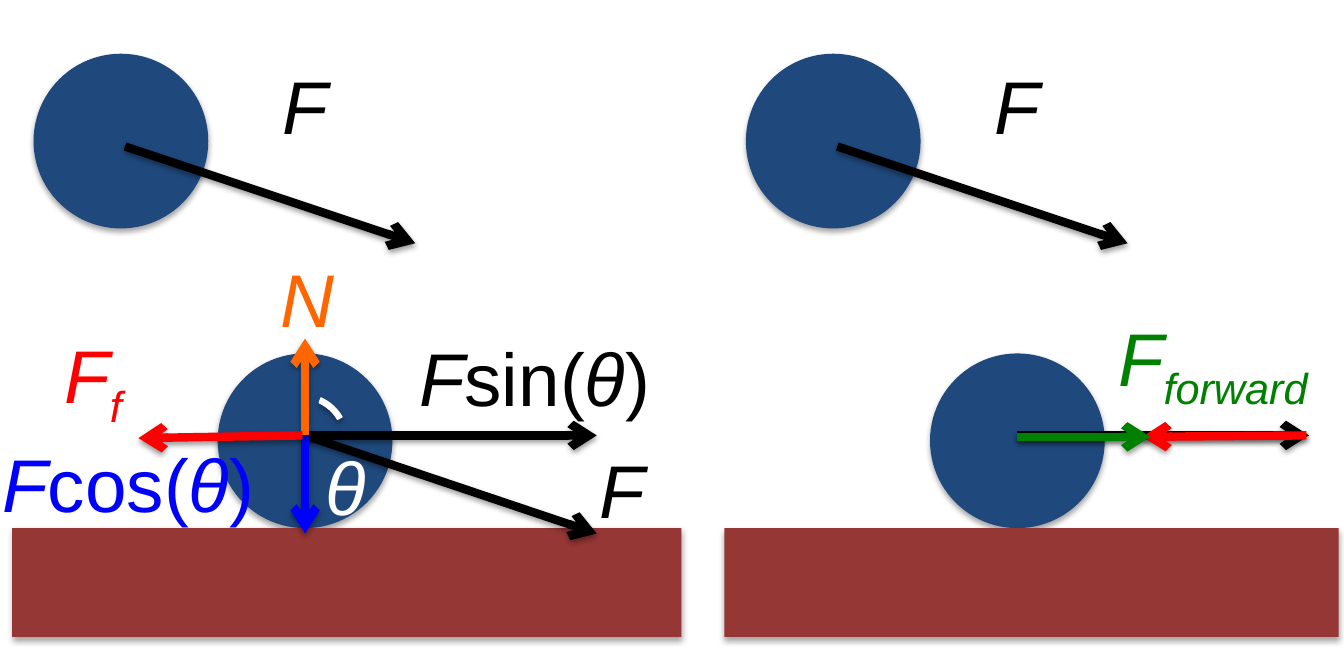
from lxml import etree
from pptx import Presentation, util as u
from pptx.dml.color import RGBColor
from pptx.enum import shapes, text
from pptx.oxml.ns import qn

COLORS = {
    "ball": "1F497D",
    "floor": "953735",
    "force": "000000",
    "normal": "FF6600",
    "friction": "FF0000",
    "pressing": "0000FF",
    "forward": "008000",
    "angle": "FFFFFF",
    "shadow": "000000",
}
BALL_SIZE = 1.3
PANEL_STEP = 5.3


def inches(value):
    return u.Cm(value * 2.54)


class ForceDiagram:
    font_name = "Arial"
    font_size = 40
    arrow_width = 4.5

    def __init__(self, width, height):
        self.presentation = Presentation()
        self.presentation.slide_width = inches(width)
        self.presentation.slide_height = inches(height)
        self.slide = self.presentation.slides.add_slide(
            self.presentation.slide_layouts[6])

    def color(self, name):
        return RGBColor.from_string(COLORS[name])

    def add_shadow(self, effects, distance, opacity):
        shadow = etree.SubElement(
            effects, qn("a:outerShdw"), blurRad=str(u.Pt(3.1)),
            dist=str(u.Pt(distance)), dir="5400000", rotWithShape="0")
        tint = etree.SubElement(shadow, qn("a:srgbClr"), val=COLORS["shadow"])
        etree.SubElement(tint, qn("a:alpha"), val=str(opacity * 1000))

    def solid(self, kind, left, top, width, height, color):
        shape = self.slide.shapes.add_shape(
            kind, *map(inches, (left, top, width, height)))
        shape.fill.solid()
        shape.fill.fore_color.rgb = self.color(color)
        shape.line.fill.background()
        shape.shadow.inherit = False
        effects = shape._element.spPr.find(qn("a:effectLst"))
        self.add_shadow(effects, 1.8, 35)
        return shape

    def ball(self, left, top):
        self.solid(shapes.MSO_SHAPE.OVAL, left, top, BALL_SIZE, BALL_SIZE, "ball")

    def floor(self, left, width):
        self.solid(shapes.MSO_SHAPE.RECTANGLE, left, 3.93, width, 0.81, "floor")

    def angle_arc(self, left, top, width, height):
        arc = self.solid(shapes.MSO_SHAPE.BLOCK_ARC, left, top, width, height, "angle")
        arc.rotation = 154.6
        # Angles are stored in 60000ths of a degree, adjustments in 100000ths
        arc.adjustments[0] = 135.75 * 0.6
        arc.adjustments[1] = 173.94 * 0.6
        arc.adjustments[2] = 0.06
        arc.line.color.rgb = self.color("angle")
        arc.line.width = u.Pt(0.75)

    def arrow(self, start, end, color):
        connector = self.slide.shapes.add_connector(
            shapes.MSO_CONNECTOR.STRAIGHT, *map(inches, (*start, *end)))
        connector.line.color.rgb = self.color(color)
        connector.line.width = u.Pt(self.arrow_width)
        properties = connector._element.spPr
        etree.SubElement(properties.find(qn("a:ln")), qn("a:tailEnd"), type="arrow")
        effects = etree.SubElement(properties, qn("a:effectLst"))
        self.add_shadow(effects, 1.6, 38)

    def label(self, left, top, width, color, *parts):
        """Each part is a text with its style: italic, upright or subscript."""
        box = self.slide.shapes.add_textbox(
            *map(inches, (left, top, width, 0.77)))
        frame = box.text_frame
        frame.word_wrap = True
        frame.auto_size = text.MSO_AUTO_SIZE.SHAPE_TO_FIT_TEXT
        for wording, style in parts:
            run = frame.paragraphs[0].add_run()
            run.text = wording
            run.font.name = self.font_name
            run.font.size = u.Pt(self.font_size)
            run.font.italic = style != "upright"
            run.font.color.rgb = self.color(color)
            if style == "subscript":
                run._r.get_or_add_rPr().set("baseline", "-25000")

    def component_label(self, left, top, width, color, function):
        self.label(left, top, width, color, ("F", "italic"),
                   (function + "(", "upright"), ("θ", "italic"), (")", "upright"))

    def free_ball(self, offset):
        self.ball(offset + 0.25, 0.4)
        self.arrow((offset + 0.93, 1.09), (offset + 3.09, 1.81), "force")
        self.label(offset + 2, 0.4, 0.51, "force", ("F", "italic"))


def main():
    diagram = ForceDiagram(10, 5)

    # Left: forces on the ball resting on the floor
    diagram.ball(1.62, 2.63)
    diagram.floor(0.09, 4.98)
    center = (2.27, 3.24)
    for end, color in [((4.44, 3.97), "force"), ((4.44, 3.24), "force"),
                       ((2.27, 3.97), "pressing"), ((2.27, 2.52), "normal")]:
        diagram.arrow(center, end, color)
    diagram.arrow((2.25, 3.24), (1.03, 3.26), "friction")

    # Left: force labels
    diagram.label(1.99, 1.83, 0.57, "normal", ("N", "italic"))
    diagram.label(0.38, 2.4, 1.42, "friction", ("F", "italic"), ("f", "subscript"))
    diagram.component_label(3.02, 2.42, 2.21, "force", "sin")
    diagram.component_label(-0.08, 3.21, 2.13, "pressing", "cos")
    diagram.label(2.32, 3.23, 0.71, "angle", ("θ", "italic"))
    diagram.label(4.36, 3.25, 0.51, "force", ("F", "italic"))

    # Left: free ball and angle mark
    diagram.free_ball(0)
    diagram.angle_arc(1.96, 2.93, 0.63, 0.67)

    # Right: net forward force
    diagram.ball(1.62 + PANEL_STEP, 2.63)
    diagram.floor(5.39, 4.57)
    diagram.arrow((7.57, 3.24), (9.74, 3.24), "force")
    diagram.label(8.22, 2.27, 2.21, "forward",
                  ("F", "italic"), ("forward", "subscript"))
    diagram.free_ball(PANEL_STEP)
    diagram.arrow((9.72, 3.24), (8.5, 3.25), "friction")
    diagram.arrow((7.57, 3.25), (8.56, 3.25), "forward")

    diagram.presentation.save("out.pptx")


if __name__ == "__main__":
    main()
